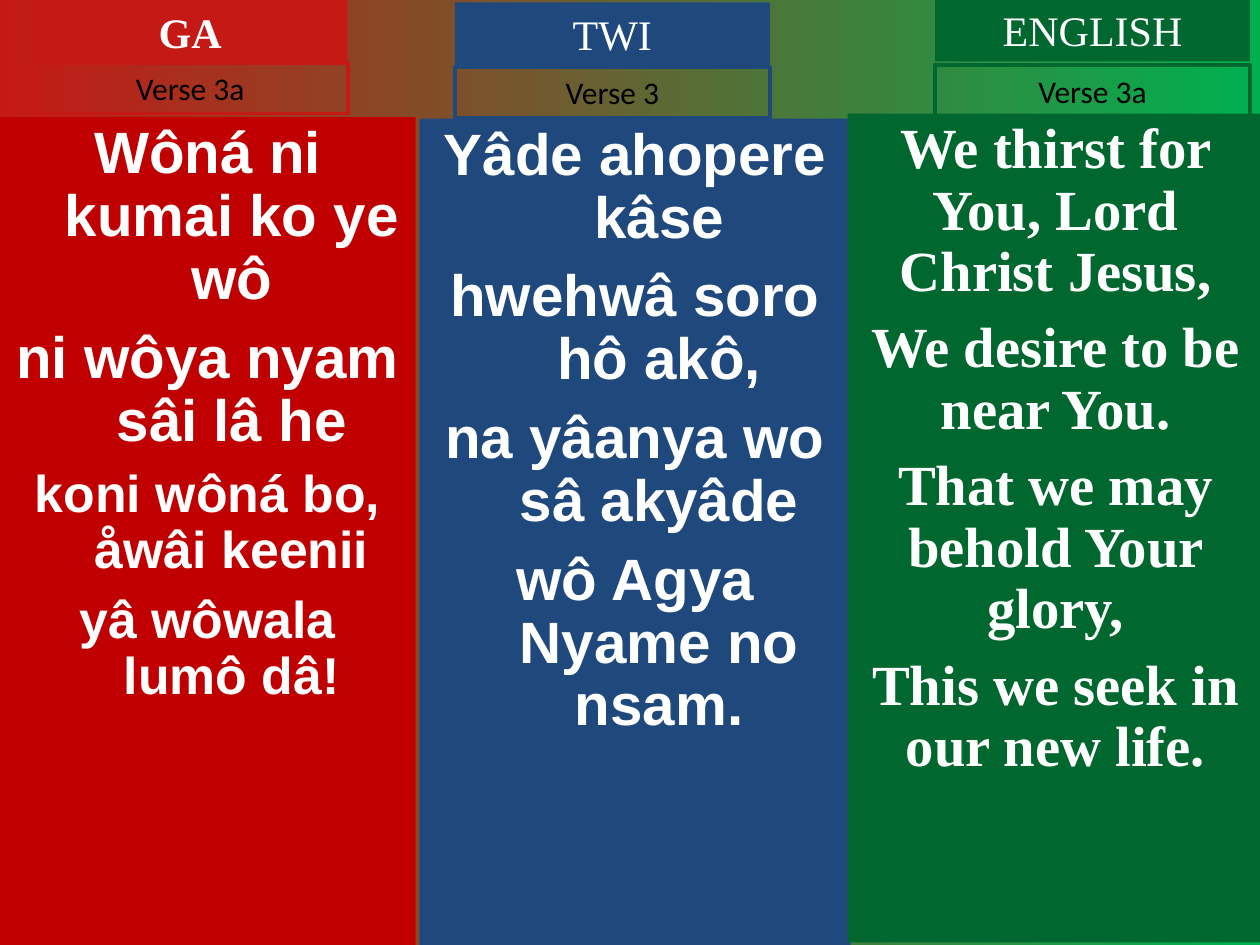
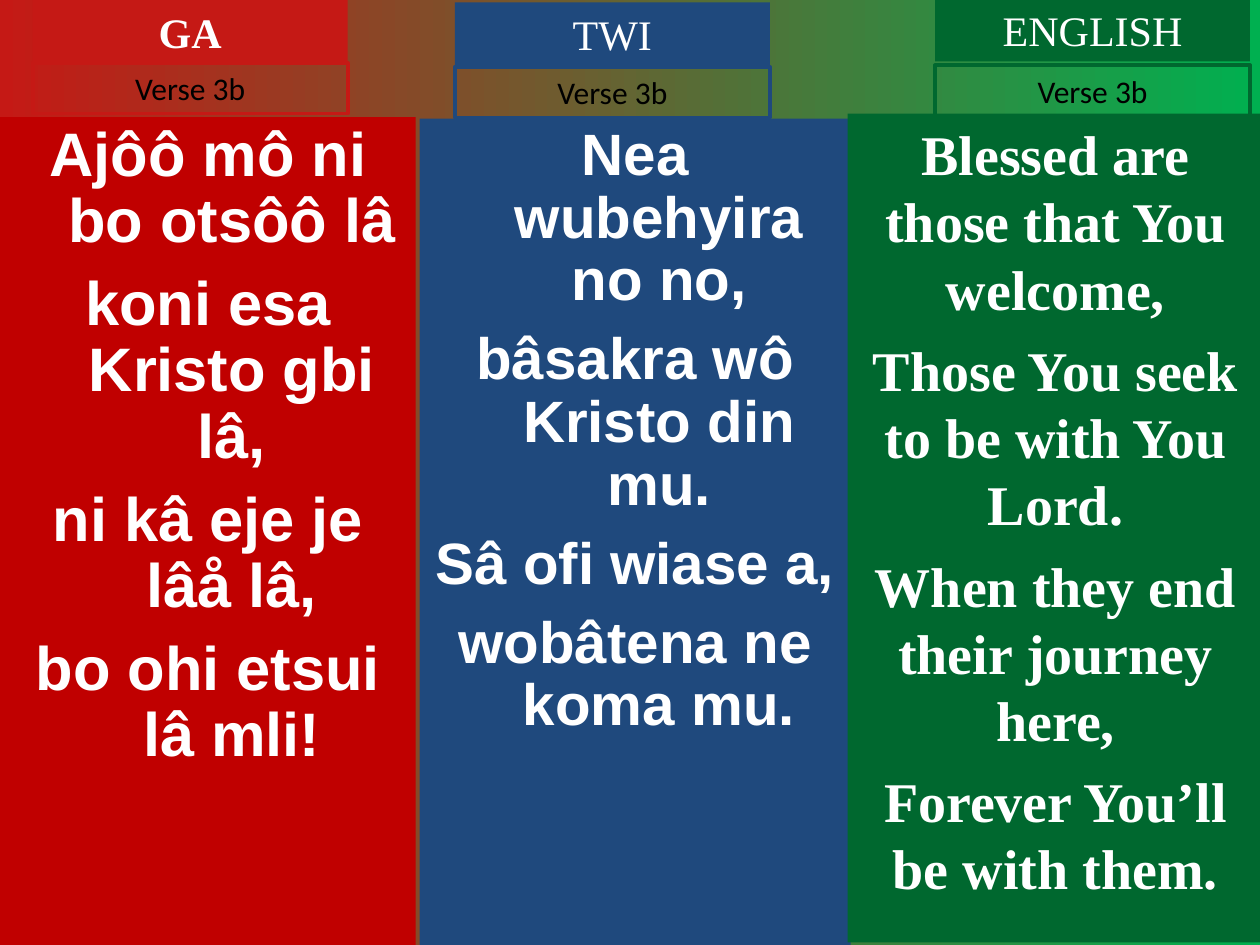
from dataclasses import dataclass
from typing import Optional

from pptx import Presentation
from pptx.dml.color import RGBColor
from pptx.enum.shapes import MSO_SHAPE as Shape
from pptx.enum.text import MSO_ANCHOR as Anchor, MSO_AUTO_SIZE as AutoSize, PP_ALIGN as Align
from pptx.util import Cm, Pt

# Shared look
WHITE, BLACK = "FFFFFF", "000000"
BACKGROUND = ("C51915", "00B050")
SERIF, SANS, LABEL = "Times New Roman", "Arial", "Calibri"
LABEL_WIDTH, HEADING_HEIGHT, VERSE_HEIGHT = 6.35, 1.27, 1.02


@dataclass(frozen=True)
class Box:
    left: float
    top: float
    width: float
    height: float


@dataclass(frozen=True)
class Language:
    heading: str
    heading_bold: bool
    label_color: str
    lyrics_color: str
    lyrics_font: str
    hanging: float
    label_left: float
    heading_top: float
    verse_top: float
    lyrics_box: Box


@dataclass(frozen=True)
class Line:
    text: str
    size: float
    space_before: float = 0
    spacing: float = 1.0


@dataclass(frozen=True)
class Verse:
    label: str
    lines: list[Line]


GA = Language("GA", True, "C51915", "C00000", SANS, 0.97,
              0.66, 0, 1.27, Box(0, 2.36, 8.38, 16.69))
TWI = Language("TWI", False, "1F497D", "1F497D", SANS, 0.97,
               9.17, 0.05, 1.35, Box(8.46, 2.39, 8.69, 16.66))
ENGLISH = Language("ENGLISH", False, "00682F", "00682F", SERIF, 0,
                   18.85, -0.03, 1.32, Box(17.09, 2.29, 8.38, 16.71))
LANGUAGES = (GA, TWI, ENGLISH)


def lyrics(size: float, space: float, *texts: str, spacing: float = 0.9) -> list[Line]:
    """Lines of one size, with space between them."""
    return [Line(text, size, space, spacing) for text in texts]


# Verses, one per language on each slide
SLIDES = [
    (
        Verse("Verse 3a",
              lyrics(33.3, 9, "Wôná ni kumai ko ye wô", "ni wôya nyam sâi lâ he")
              + lyrics(29.6, 8, "koni wôná bo, åwâi keenii", "yâ wôwala lumô dâ!")),
        Verse("Verse 3",
              lyrics(33.3, 9, "Yâde ahopere kâse", "hwehwâ soro hô akô,",
                     "na yâanya wo sâ akyâde", "wô Agya Nyame no nsam.")),
        Verse("Verse 3a",
              lyrics(32.4, 8.8, "We thirst for You, Lord Christ Jesus,",
                     "We desire to be near You.", "That we may behold Your glory,",
                     "This we seek in our new life.")),
    ),
    (
        Verse("Verse 3b",
              lyrics(35.1, 9.5, "Ajôô mô ni bo otsôô lâ", "koni esa Kristo gbi lâ,",
                     "ni kâ eje je lâå lâ,", "bo ohi etsui lâ mli!")),
        Verse("Verse 3b",
              lyrics(33.3, 9, "Nea wubehyira no no,", "bâsakra wô Kristo din mu.",
                     "Sâ ofi wiase a,", "wobâtena ne koma mu.")),
        Verse("Verse 3b",
              lyrics(32, 8, "Blessed are those that You welcome,",
                     "Those You seek to be with You Lord.",
                     "When they end their journey here,",
                     "Forever You’ll be with them.", spacing=1.0)),
    ),
]


def rgb(color: str) -> RGBColor:
    return RGBColor.from_string(color)


def draw_panel(slide, box: Box, lines: list[Line], font: str, color: str, bold: bool = False,
               fill: Optional[str] = None, border: Optional[str] = None,
               hanging: float = 0, grow: bool = False) -> None:
    """Draw a rectangle with centred text from its top."""
    panel = slide.shapes.add_shape(Shape.RECTANGLE, Cm(box.left), Cm(box.top),
                                   Cm(box.width), Cm(box.height))
    panel.shadow.inherit = False
    if fill:
        panel.fill.solid()
        panel.fill.fore_color.rgb = rgb(fill)
    else:
        panel.fill.background()
    if border:
        panel.line.color.rgb = rgb(border)
        panel.line.width = Pt(2.25)
    else:
        panel.line.fill.background()

    frame = panel.text_frame
    frame.word_wrap = True
    frame.vertical_anchor = Anchor.TOP
    frame.auto_size = AutoSize.SHAPE_TO_FIT_TEXT if grow else AutoSize.NONE
    for index, line in enumerate(lines):
        paragraph = frame.add_paragraph() if index else frame.paragraphs[0]
        paragraph.alignment = Align.CENTER
        paragraph.line_spacing = line.spacing
        paragraph.space_before = Pt(line.space_before if index else 0)
        if hanging:
            properties = paragraph._p.get_or_add_pPr()
            properties.set("marL", str(Cm(hanging)))
            properties.set("indent", str(-Cm(hanging)))
        run = paragraph.add_run()
        run.text = line.text
        run.font.name = font
        run.font.size = Pt(line.size)
        run.font.bold = bold
        run.font.color.rgb = rgb(color)


def draw_column(slide, language: Language, verse: Verse) -> None:
    # Lyrics
    draw_panel(slide, language.lyrics_box, verse.lines, language.lyrics_font, WHITE,
               bold=True, fill=language.lyrics_color, hanging=language.hanging)
    # Language heading
    heading_box = Box(language.label_left, language.heading_top, LABEL_WIDTH, HEADING_HEIGHT)
    draw_panel(slide, heading_box, [Line(language.heading, 24)], SERIF, WHITE,
               bold=language.heading_bold, fill=language.label_color, grow=True)
    # Verse number
    verse_box = Box(language.label_left, language.verse_top, LABEL_WIDTH, VERSE_HEIGHT)
    draw_panel(slide, verse_box, [Line(verse.label, 18)], LABEL, BLACK,
               border=language.label_color, grow=True)


def paint_background(slide) -> None:
    fill = slide.background.fill
    fill.gradient()
    fill.gradient_angle = 0
    for stop, color in zip(fill.gradient_stops, BACKGROUND):
        stop.color.rgb = rgb(color)


def main() -> None:
    hymn = Presentation()
    hymn.slide_width, hymn.slide_height = Cm(25.4), Cm(19.05)
    blank_layout = hymn.slide_layouts[6]
    for verses in SLIDES:
        slide = hymn.slides.add_slide(blank_layout)
        paint_background(slide)
        for language, verse in zip(LANGUAGES, verses):
            draw_column(slide, language, verse)
    hymn.save("out.pptx")


if __name__ == "__main__":
    main()
